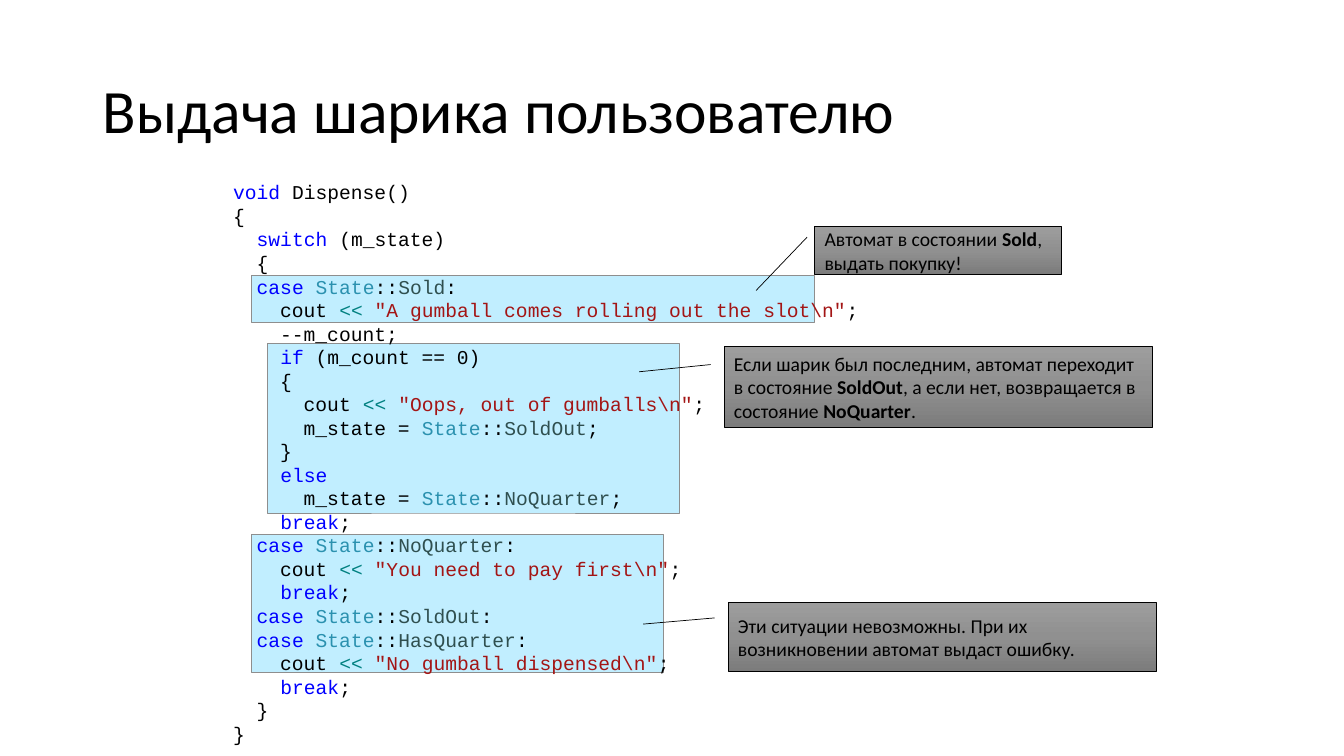
import copy
import dataclasses

import pptx
import pptx.dml.color
import pptx.enum.shapes
import pptx.enum.text
import pptx.oxml
import pptx.oxml.ns
import pptx.util

Inches = pptx.util.Inches
Pt = pptx.util.Pt
SHAPES = pptx.enum.shapes.MSO_SHAPE
ANCHOR = pptx.enum.text.MSO_ANCHOR
BLACK = "000000"


@dataclasses.dataclass
class Box:
    left: float
    top: float
    width: float
    height: float

    def place(self) -> list:
        return [Inches(v) for v in (self.left, self.top, self.width, self.height)]


@dataclasses.dataclass
class Note:
    box: Box
    tip: tuple  # callout tip: y and x as shares of the box
    text: str  # every second part between "|" is bold


# Code: "|" parts the tokens, and each token's colour comes from HUES
HUES = {
    **dict.fromkeys(["void", "switch", "case", "if", "else", "break"], "0000FF"),
    **dict.fromkeys(["Sold", "SoldOut", "NoQuarter", "HasQuarter"], "2F4F4F"),
    "State": "2B91AF",
    "<<": "008080",
}
CODE = r'''  |void| Dispense()
  {
    |switch| (m_state)
    {
    |case |State|::|Sold|:
      cout |<< |"A gumball comes rolling out the slot\n"|;
      --m_count;
      |if| (m_count == 0)
      {
        cout |<< |"Oops, out of gumballs\n"|;
        m_state = |State|::|SoldOut|;
      }
      |else
        m_state = |State|::|NoQuarter|;
      |break|;
    |case |State|::|NoQuarter|:
      cout |<< |"You need to pay first\n"|;
      |break|;
    |case |State|::|SoldOut|:
    |case |State|::|HasQuarter|:
      cout |<< |"No gumball dispensed\n"|;
      |break|;
    }
  }'''

MARKS = [
    Box(2.49, 2.73, 5.59, 0.47),
    Box(2.65, 3.41, 4.09, 1.68),
    Box(2.49, 5.3, 4.09, 1.37),
]
NOTES = [
    Note(Box(8.08, 2.25, 2.45, 0.47), (1.344, -0.237),
         "Автомат в состоянии |Sold|, выдать покупку!"),
    Note(Box(7.18, 3.44, 4.25, 0.8), (0.311, -0.198),
         "Если шарик был последним, автомат переходит в состояние |SoldOut|"
         ", а если нет, возвращается в состояние |NoQuarter|."),
    Note(Box(7.22, 5.98, 4.25, 0.68), (0.311, -0.198),
         "Эти ситуации невозможны. При их возникновении автомат выдаст ошибку."),
]
SHADES = [(0, "9D9D9D"), (0.5, "909090"), (1, "7C7C7C")]


def color(code: str):
    return pptx.dml.color.RGBColor.from_string(code)


def style(para, face: str, size: float) -> None:
    para.alignment = pptx.enum.text.PP_ALIGN.LEFT
    para.font.name = face
    para.font.size = Pt(size)
    para.font.color.rgb = color(BLACK)


def shape(slide, kind, box: Box, line: str):
    item = slide.shapes.add_shape(kind, *box.place())
    item.shadow.inherit = False
    item.line.color.rgb = color(line)
    item.line.width = Pt(0.5)
    return item


def frame(slide, box: Box):
    text = slide.shapes.add_textbox(*box.place()).text_frame
    text.word_wrap = True
    return text


def mark(slide, box: Box) -> None:
    item = shape(slide, SHAPES.RECTANGLE, box, "8E8E8E")
    item.fill.solid()
    item.fill.fore_color.rgb = color("85DFFF")
    tint = item.fill._xPr.find(".//" + pptx.oxml.ns.qn("a:srgbClr"))
    tint.append(pptx.oxml.parse_xml(
        f'<a:alpha {pptx.oxml.ns.nsdecls("a")} val="50000"/>'))


def shade(item) -> None:
    item.fill.gradient()
    item.fill.gradient_angle = 270
    stops = item._element.spPr.find(".//" + pptx.oxml.ns.qn("a:gsLst"))
    stops.insert(1, copy.deepcopy(stops[0]))
    for stop, (place, hue) in zip(item.fill.gradient_stops, SHADES):
        stop.position = place
        stop.color.rgb = color(hue)


def callout(slide, note: Note) -> None:
    item = shape(slide, SHAPES.LINE_CALLOUT_1, note.box, BLACK)
    for i, value in enumerate((0.221, -0.031, *note.tip)):
        item.adjustments[i] = value
    shade(item)
    text = item.text_frame
    text.word_wrap = True
    text.vertical_anchor = ANCHOR.MIDDLE
    para = text.paragraphs[0]
    style(para, "Calibri", 14)
    for i, part in enumerate(note.text.split("|")):
        run = para.add_run()
        run.text = part
        run.font.bold = i % 2 == 1


def title(slide, words: str) -> None:
    text = frame(slide, Box(0.92, 0.4, 11.5, 1.45))
    text.vertical_anchor = ANCHOR.MIDDLE
    para = text.paragraphs[0]
    para.text = words
    para.line_spacing = 0.9
    style(para, "Calibri", 44)


def listing(slide, code: str) -> None:
    text = frame(slide, Box(1.98, 1.74, 9.37, 5.76))
    for i, line in enumerate(code.split("\n")):
        para = text.add_paragraph() if i else text.paragraphs[0]
        style(para, "Courier New", 14)
        for token in line.split("|"):
            run = para.add_run()
            run.text = token
            hue = "A31515" if token.startswith('"') else HUES.get(token.strip())
            if hue:
                run.font.color.rgb = color(hue)


def main() -> None:
    deck = pptx.Presentation()
    deck.slide_width = Inches(13.33)
    deck.slide_height = Inches(7.5)
    slide = deck.slides.add_slide(deck.slide_layouts[6])

    # Highlights lie behind the code
    for box in MARKS:
        mark(slide, box)
    title(slide, "Выдача шарика пользователю")
    listing(slide, CODE)

    # Callouts
    for note in NOTES:
        callout(slide, note)
    deck.save("out.pptx")


if __name__ == "__main__":
    main()
